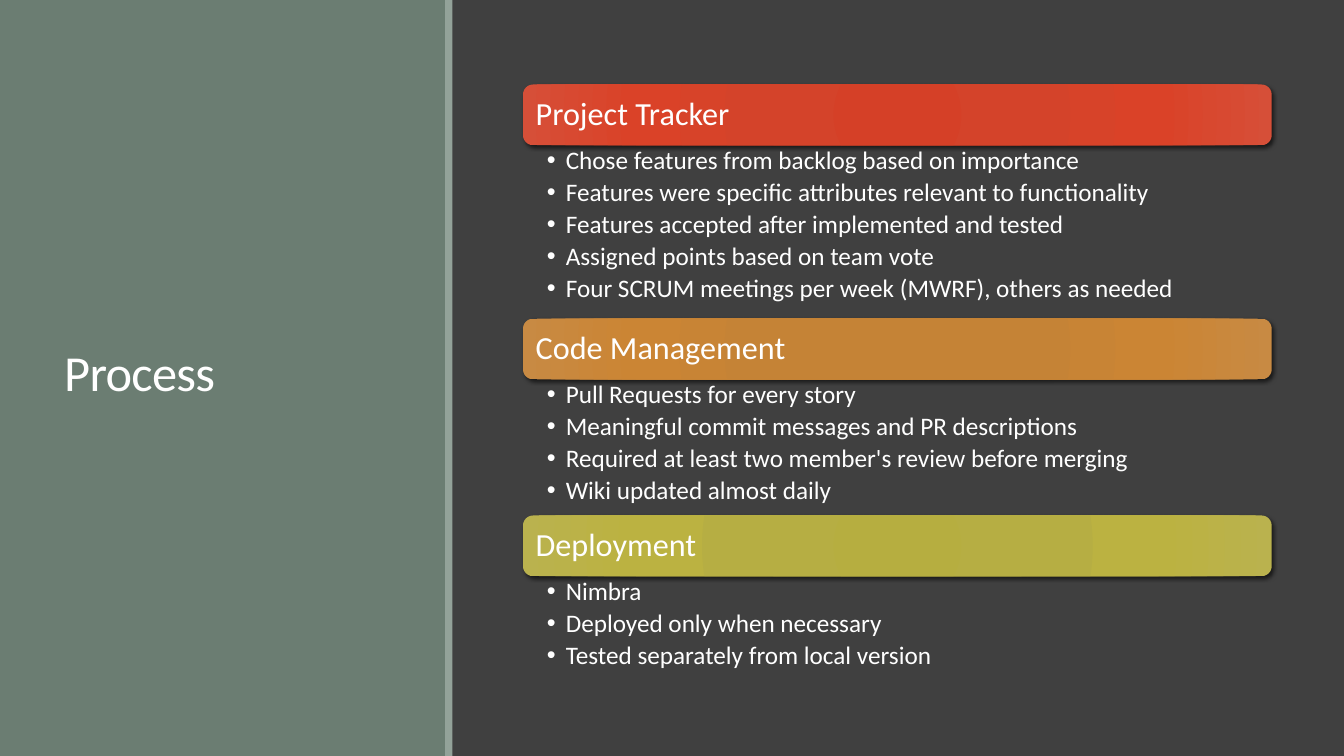
from lxml.etree import SubElement
from pptx import Presentation
from pptx.dml.color import RGBColor
from pptx.enum.shapes import MSO_SHAPE
from pptx.enum.text import MSO_ANCHOR
from pptx.oxml import parse_xml
from pptx.oxml.ns import nsdecls, qn
from pptx.util import Cm, Pt

prs = Presentation()
prs.slide_width, prs.slide_height = Cm(33.87), Cm(19.05)
slide = prs.slides.add_slide(prs.slide_layouts[6])
slide.background.fill.solid()
slide.background.fill.fore_color.rgb = RGBColor.from_string("404040")


def add_box(kind, x, y, w, h, color):
    s = slide.shapes.add_shape(kind, Cm(x), Cm(y), Cm(w), Cm(h))
    s.shadow.inherit = False
    s.fill.solid()
    s.fill.fore_color.rgb = RGBColor.from_string(color)
    s.line.fill.background()
    return s


def add_text(lines, x, y, w, h, size, anchor=MSO_ANCHOR.MIDDLE, insets=(0.25, 0.25, 0.25, 0.25),
             spacing=0.9, after=0, kerning=0, bullet=False):
    tf = slide.shapes.add_textbox(Cm(x), Cm(y), Cm(w), Cm(h)).text_frame
    tf.word_wrap = True
    tf.vertical_anchor = anchor
    tf.margin_left, tf.margin_top, tf.margin_right, tf.margin_bottom = map(Cm, insets)
    for i, line in enumerate(lines):
        p = tf.paragraphs[0] if i == 0 else tf.add_paragraph()
        p.line_spacing, p.space_after = spacing, Pt(after)
        r = p.add_run()
        r.text = line
        r.font.name, r.font.size = "Calibri", Pt(size)
        r.font.color.rgb = RGBColor.from_string("FFFFFF")
        if kerning:
            r.font._element.set("spc", str(int(kerning * 100)))
        if bullet:
            pPr = p._p.get_or_add_pPr()
            pPr.set("marL", str(Cm(0.48)))
            pPr.set("indent", str(-Cm(0.48)))
            SubElement(pPr, qn("a:buFont"), typeface="Arial")
            SubElement(pPr, qn("a:buChar"), char="•")


# Left title panel
add_box(MSO_SHAPE.RECTANGLE, 0, 0, 11.25, 19.05, "6B7D72")
add_text(["Process"], 1.37, 1.45, 8.56, 16.03, 36, spacing=0.85, kerning=-0.5)
add_box(MSO_SHAPE.RECTANGLE, 11.22, 0, 0.18, 19.05, "93A299")

# Sections: heading, gradient colours, height of the list, list items
sections = [
    ("Project Tracker", ("D54027", "D4432A", "DA4228", "D64F38"), 4.37, [
        "Chose features from backlog based on importance",
        "Features were specific attributes relevant to functionality",
        "Features accepted after implemented and tested",
        "Assigned points based on team vote",
        "Four SCRUM meetings per week (MWRF), others as needed"]),
    ("Code Management", ("C68233", "C58336", "CB8534", "C88A43"), 3.43, [
        "Pull Requests for every story",
        "Meaningful commit messages and PR descriptions",
        "Required at least two member's review before merging",
        "Wiki updated almost daily"]),
    ("Deployment", ("B6AE40", "B6AE43", "BBB241", "BAB24E"), 2.59, [
        "Nimbra",
        "Deployed only when necessary",
        "Tested separately from local version"]),
]
left, top, width, bar_h, pad = 13.18, 2.13, 18.87, 1.53, 0.07

for heading, colors, list_h, items in sections:
    bar = add_box(MSO_SHAPE.ROUNDED_RECTANGLE, left, top, width, bar_h, colors[0])

    # Radial gradient
    stops = "".join(f'<a:gs pos="{pos * 1000}"><a:srgbClr val="{color}"/></a:gs>'
                    for pos, color in zip((0, 34, 70, 100), colors))
    spPr = bar._element.spPr
    spPr.replace(spPr.find(qn("a:solidFill")), parse_xml(
        f'<a:gradFill {nsdecls("a")} rotWithShape="1"><a:gsLst>{stops}</a:gsLst><a:path path="circle">'
        '<a:fillToRect l="100000" t="100000" r="100000" b="100000"/></a:path></a:gradFill>'))

    # Drop shadow
    spPr.find(qn("a:effectLst")).append(parse_xml(
        f'<a:outerShdw {nsdecls("a")} blurRad="{Pt(3)}" dist="{Pt(2)}" dir="2700000" rotWithShape="0">'
        '<a:srgbClr val="000000"><a:alpha val="60000"/></a:srgbClr></a:outerShdw>'))

    # Heading and list
    add_text([heading], left + pad, top + pad, width - 2 * pad, bar_h - 2 * pad, 23)
    top += bar_h
    add_text(items, left, top, width, list_h, 18, anchor=MSO_ANCHOR.TOP,
             insets=(0.6, 0.07, 0.46, 0.07), after=3.3, bullet=True)
    top += list_h

prs.save("out.pptx")
